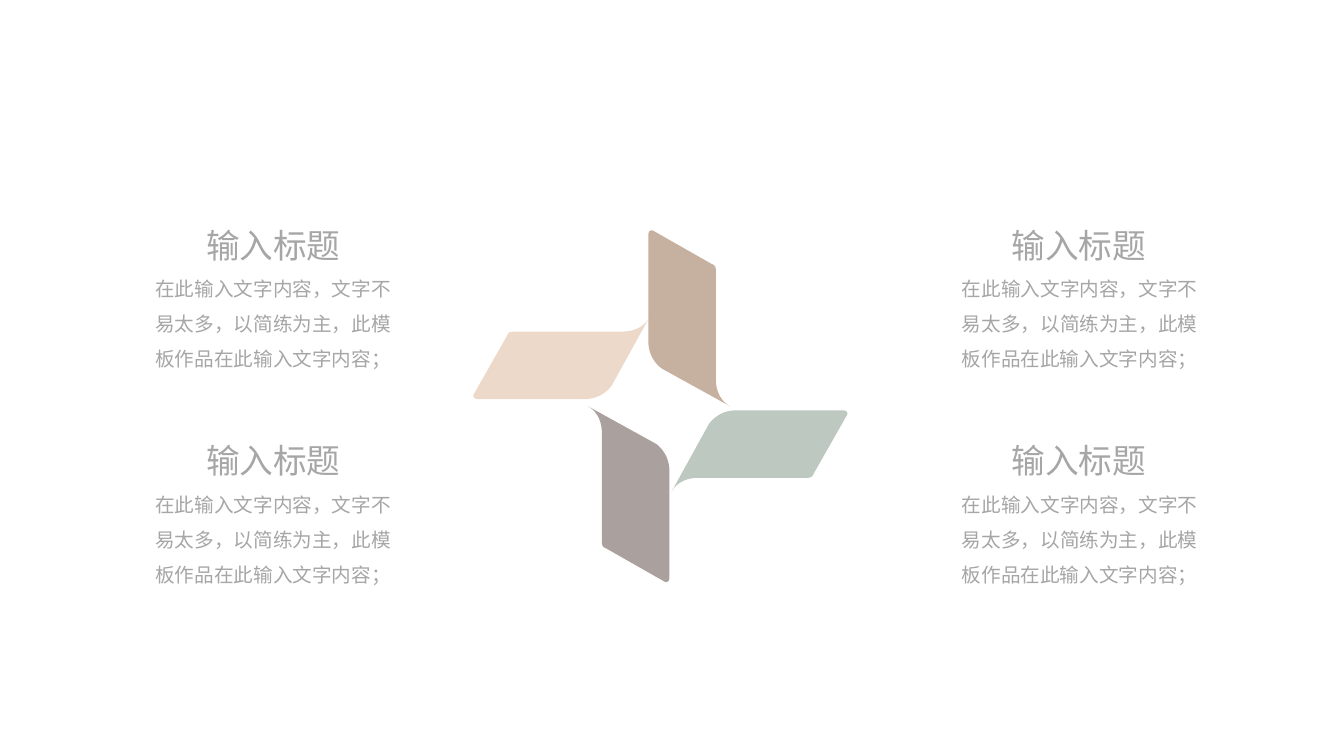
from pptx import Presentation
from pptx.dml.color import RGBColor
from pptx.enum.text import MSO_AUTO_SIZE as Auto, PP_ALIGN as Align
from pptx.oxml.ns import qn
from pptx.util import Inches, Pt

HEAD = "输入标题"
BODY = "在此输入文字内容，文字不易太多，以简练为主，此模板作品在此输入文字内容；"
FONT = "Noto Sans CJK SC"
GREY = RGBColor(0xA6, 0xA6, 0xA6)
SAND = RGBColor(0xEC, 0xD9, 0xCA)
TAN = RGBColor(0xC6, 0xB0, 0xA0)
SAGE = RGBColor(0xBD, 0xC8, 0xC0)
TAUPE = RGBColor(0xAA, 0xA0, 0x9E)

# Tip and colour of each blade, each a quarter turn on from the last
BLADES = [(6.44, 3.15, SAND), (7.24, 4.03, TAN),
          (6.66, 4.88, SAGE), (5.83, 4.03, TAUPE)]
# Corners of one blade as Bezier curves, measured from its tip
CORNERS = [
    [(0, 0), (0, 0), (-0.06, 0.14), (-0.27, 0.14)],
    [(-1.36, 0.14), (-1.4, 0.14), (-1.41, 0.18), (-1.41, 0.18)],
    [(-1.74, 0.76), (-1.74, 0.76), (-1.77, 0.81), (-1.69, 0.81)],
    [(-0.65, 0.81), (-0.45, 0.81), (-0.37, 0.67), (-0.37, 0.67)],
]
# Left edges of body and heading, then tops of the headings
COLS = [(1.38, 1.92), (9.38, 9.91)]
ROWS = (2.18, 4.32)


def round_off(blade):
    """Turn each three line segments of the outline into one curve."""
    path = next(blade._element.iter(qn("a:path")))
    lines = path.findall(qn("a:lnTo"))
    for first in range(0, len(lines) - 2, 3):
        curve = path.makeelement(qn("a:cubicBezTo"), {})
        lines[first].addprevious(curve)
        for line in lines[first:first + 3]:
            curve.append(line[0])
            path.remove(line)


def add_blade(slide, turns, left, top, color):
    def place(x, y):
        for _ in range(turns):
            x, y = -y, x
        return Inches(left + x), Inches(top + y)

    tip, *bends = CORNERS
    marks = list(tip[1:])
    for start, *rest in bends:
        marks += [start] * 3 + rest
    marks.append(tip[0])
    pen = slide.shapes.build_freeform(*place(0, 0), scale=1.0)
    pen.add_line_segments([place(*mark) for mark in marks], close=True)
    blade = pen.convert_to_shape()
    round_off(blade)
    blade.shadow.inherit = False
    blade.fill.solid()
    blade.fill.fore_color.rgb = color
    blade.line.fill.background()


def add_text(group, text, box, size, wrap):
    frame = group.shapes.add_textbox(*map(Inches, box)).text_frame
    frame.word_wrap = wrap
    frame.auto_size = Auto.SHAPE_TO_FIT_TEXT
    frame.text = text
    para = frame.paragraphs[0]
    para.alignment = Align.CENTER
    font = para.runs[0].font
    font.size = Pt(size)
    font.name = FONT
    font.color.rgb = GREY
    east = font._element.makeelement(qn("a:ea"), {"typeface": FONT})
    font._element.find(qn("a:latin")).addnext(east)
    return para


def main():
    deck = Presentation()
    deck.slide_width, deck.slide_height = Inches(13.33), Inches(7.5)
    slide = deck.slides.add_slide(deck.slide_layouts[6])
    for turns, (left, top, color) in enumerate(BLADES):
        add_blade(slide, turns, left, top, color)
    for left, inset in COLS:
        for top in ROWS:
            group = slide.shapes.add_group_shape()
            body = add_text(group, BODY, (left, top + 0.4, 2.66, 1.12), 14, True)
            body.line_spacing = 1.5
            add_text(group, HEAD, (inset, top, 1.58, 0.5), 24, False)
    deck.save("out.pptx")


if __name__ == "__main__":
    main()
